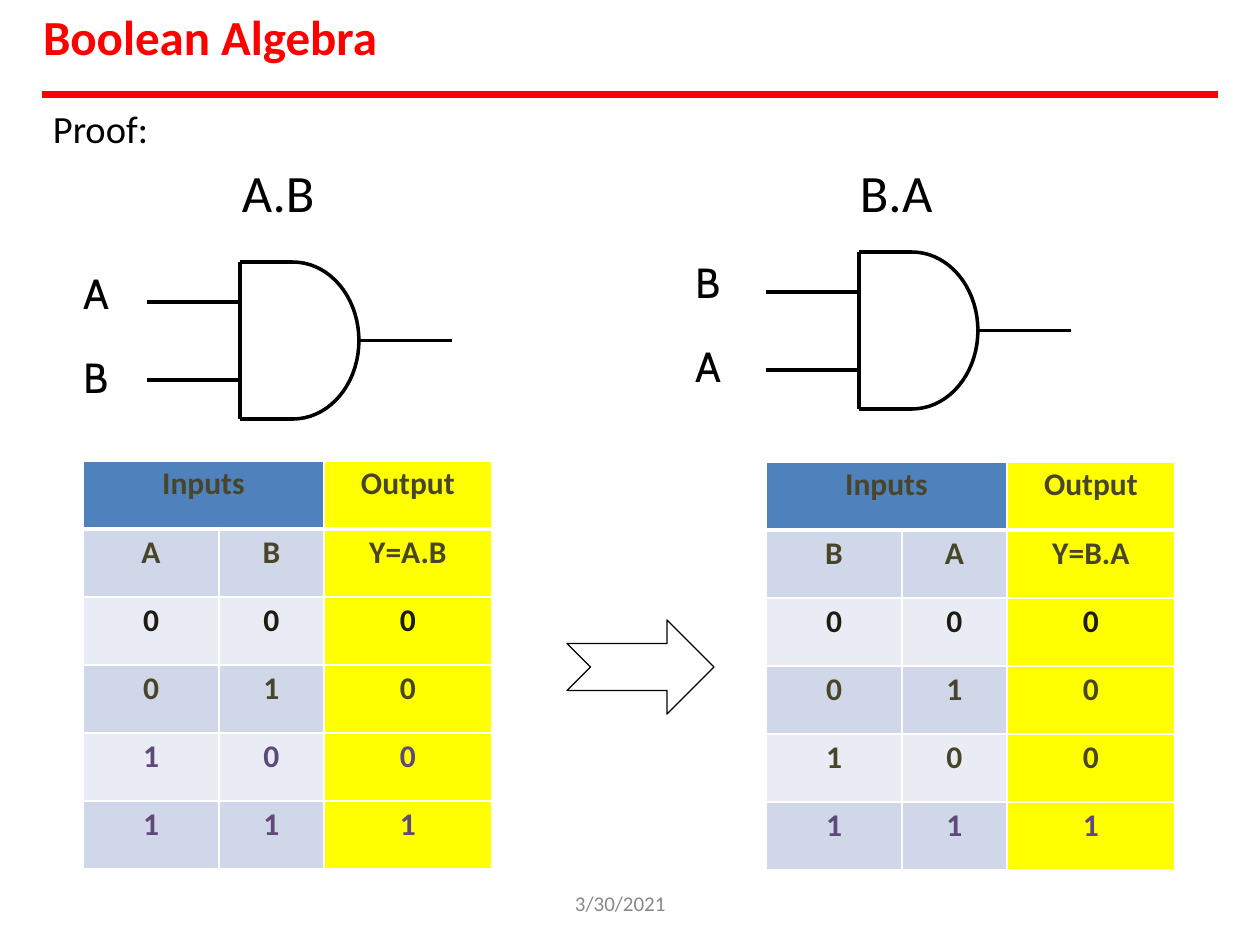
from math import cos, pi, sin
from lxml.etree import SubElement
from pptx import Presentation
from pptx.dml.color import RGBColor
from pptx.enum.shapes import MSO_CONNECTOR, MSO_SHAPE
from pptx.enum.text import MSO_ANCHOR, MSO_AUTO_SIZE, PP_ALIGN
from pptx.oxml.ns import qn
from pptx.util import Emu, Pt

SCALE = 914400 / 126
COLORS = {
    "red": "FF0000", "black": "000000", "white": "FFFFFF", "gray": "888888",
    "header": "4F81BC", "band": "D0D7E8", "light": "E9ECF4", "output": "FFFF00",
    "olive": "49452A", "dark": "1E1C11", "purple": "5F497A",
}
RGB = {name: RGBColor.from_string(value) for name, value in COLORS.items()}


def px(*lengths):
    return [Emu(round(length * SCALE)) for length in lengths]


def write_text(frame, lines, color, size, top=1, font="Calibri", bold=False,
               align=PP_ALIGN.LEFT, gap=0):
    frame_format = {
        "margin_left": 0, "margin_right": 0, "margin_bottom": 0,
        "margin_top": px(top)[0], "word_wrap": True,
        "vertical_anchor": MSO_ANCHOR.TOP, "auto_size": MSO_AUTO_SIZE.SHAPE_TO_FIT_TEXT,
    }
    for name, value in frame_format.items():
        setattr(frame, name, value)
    for index, line in enumerate(lines):
        paragraph = frame.add_paragraph() if index else frame.paragraphs[0]
        paragraph.alignment = align
        if index:
            paragraph.space_before = Pt(gap)
        run = paragraph.add_run()
        run.text = line
        for name, value in {"name": font, "size": Pt(size), "bold": bold}.items():
            setattr(run.font, name, value)
        run.font.color.rgb = RGB[color]


presentation = Presentation()
presentation.slide_width, presentation.slide_height = px(1260, 945)
slide = presentation.slides.add_slide(presentation.slide_layouts[5])
shapes = slide.shapes

title = shapes.title
title.left, title.top, title.width, title.height = px(43, 5, 339, 63)
write_text(title.text_frame, ["Boolean Algebra"], "red", 28, bold=True)

labels = [
    (53, 103, 100, 50, ["Proof:"], "black", 22, {"top": 2}),
    (242, 159, 76, 67, ["A.B"], "black", 30, {}),
    (860, 159, 76, 67, ["B.A"], "black", 30, {}),
    (84, 267, 29, 139, ["A", "B"], "black", 24, {"font": "Cabin", "gap": 19.2}),
    (696, 256, 29, 137, ["B", "A"], "black", 24, {"font": "Cabin", "gap": 18.9}),
    (575, 891, 111, 24, ["3/30/2021"], "gray", 12, {"top": 0}),
]
for left, top, width, height, lines, color, size, options in labels:
    box = shapes.add_textbox(*px(left, top, width, height))
    write_text(box.text_frame, lines, color, size, **options)

wires = [(42, 95, 1218, 95, "red", 4)]
gate_height = 157
body_width = 53
radius = 66
for left, top in [(240, 262), (859, 252)]:
    right = left + body_width
    middle = top + gate_height / 2
    bottom = top + gate_height
    segments = [
        (left, top, left, bottom),
        (left, top, right, top),
        (left, bottom, right, bottom),
        (left - 93, top + 40, left, top + 40),
        (left - 93, top + 118, left, top + 118),
        (right + radius, middle, right + radius + 93, middle),
    ]
    wires += [(*segment, "black", 2) for segment in segments]

    angles = [pi * step / 36 - pi / 2 for step in range(37)]
    points = [px(right + radius * cos(angle), middle + gate_height / 2 * sin(angle))
              for angle in angles]
    builder = shapes.build_freeform(*points[0])
    builder.add_line_segments(points[1:], close=False)
    arc = builder.convert_to_shape()
    arc.shadow.inherit = False
    arc.fill.background()
    arc.line.color.rgb = RGB["black"]
    arc.line.width = Pt(2)

for x1, y1, x2, y2, color, width in wires:
    wire = shapes.add_connector(MSO_CONNECTOR.STRAIGHT, *px(x1, y1, x2, y2))
    wire.line.color.rgb = RGB[color]
    wire.line.width = Pt(width)
    SubElement(wire._element.spPr, qn("a:effectLst"))

arrow = shapes.add_shape(MSO_SHAPE.NOTCHED_RIGHT_ARROW, *px(567, 620, 147, 94))
arrow.shadow.inherit = False
arrow.fill.background()
arrow.line.color.rgb = RGB["black"]
arrow.line.width = Pt(0.75)

truth_rows = [["0", "0", "0"], ["0", "1", "0"], ["1", "0", "0"], ["1", "1", "1"]]
tables = [
    (83, 461, ["A", "B", "Y=A.B"], ["olive", "olive", "dark", "olive", "purple", "purple"]),
    (766, 462, ["B", "A", "Y=B.A"], ["olive", "olive", "dark", "olive", "olive", "purple"]),
]
for left, top, names, text_colors in tables:
    rows = [["Inputs", "", "Output"], names, *truth_rows]
    table = shapes.add_table(len(rows), 3, *px(left, top, 409, 408)).table
    for column, width in zip(table.columns, px(136, 105, 168)):
        column.width = width
    for row_index, row in enumerate(rows):
        table.rows[row_index].height = px(68)[0]
        row_fill = "header" if row_index == 0 else "band" if row_index % 2 else "light"
        for column_index, text in enumerate(row):
            cell = table.cell(row_index, column_index)
            properties = cell._tc.get_or_add_tcPr()
            thick_side = {0: "lnB", 1: "lnT"}.get(row_index)
            for side in ("lnL", "lnR", "lnT", "lnB"):
                width = Pt(3 if side == thick_side else 1)
                border = SubElement(properties, qn(f"a:{side}"), w=str(width))
                fill = SubElement(border, qn("a:solidFill"))
                SubElement(fill, qn("a:srgbClr"), val=COLORS["white"])
            cell.fill.solid()
            cell.fill.fore_color.rgb = RGB["output" if column_index == 2 else row_fill]
            cell.margin_left = cell.margin_right = cell.margin_bottom = 0
            cell.margin_top = px(5 if row_index else 4)[0]
            if text:
                paragraph = cell.text_frame.paragraphs[0]
                paragraph.alignment = PP_ALIGN.CENTER
                run = paragraph.add_run()
                run.text = text
                cell_font = {"name": "Calibri", "size": Pt(18), "bold": True}
                for name, value in cell_font.items():
                    setattr(run.font, name, value)
                run.font.color.rgb = RGB[text_colors[row_index]]
    table.cell(0, 0).merge(table.cell(0, 1))

presentation.save("out.pptx")
